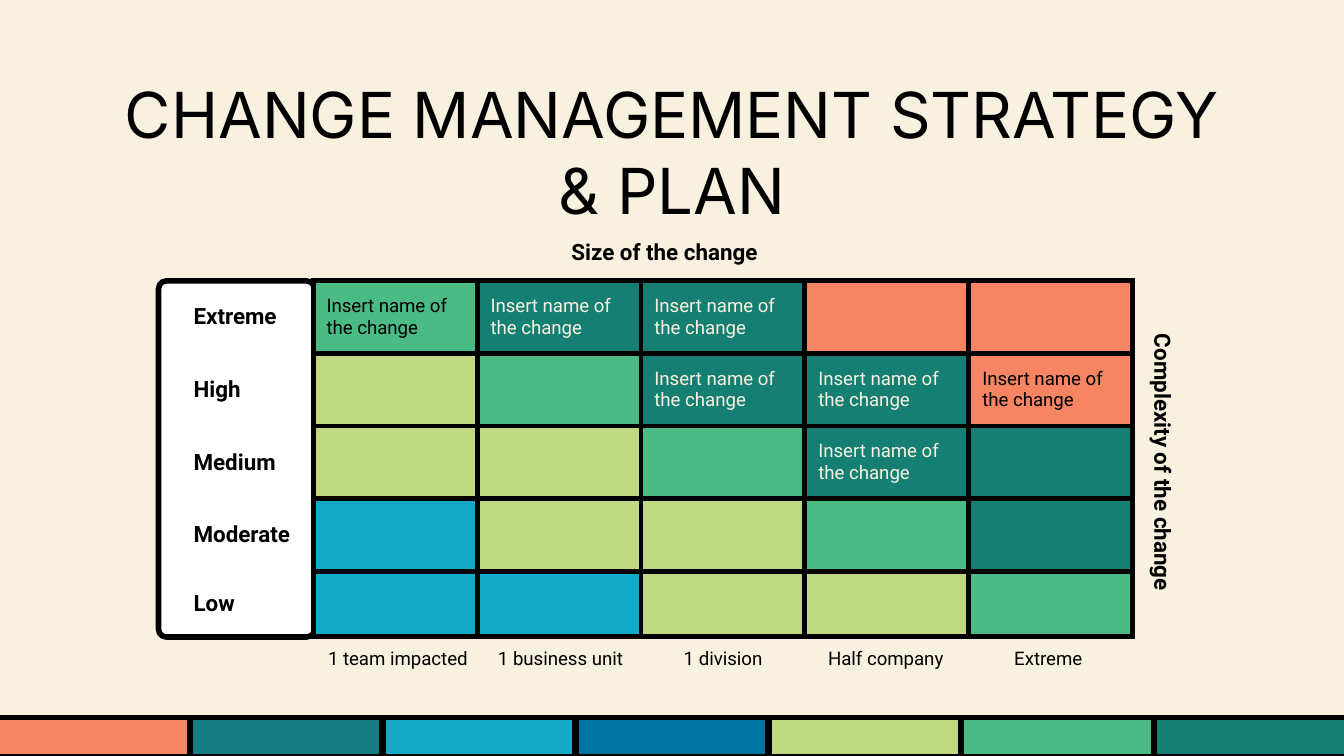
import pptx
import pptx.util
import pptx.dml.color
import pptx.enum.shapes
import pptx.enum.text
import pptx.oxml.ns
import lxml.etree

Inches = pptx.util.Inches
Pt = pptx.util.Pt
RGBColor = pptx.dml.color.RGBColor
SHAPE = pptx.enum.shapes.MSO_SHAPE
ALIGN = pptx.enum.text.PP_ALIGN
ANCHOR = pptx.enum.text.MSO_ANCHOR

BLACK = RGBColor(0x00, 0x00, 0x00)
WHITE = RGBColor(0xFF, 0xFF, 0xFF)
CREAM = RGBColor(0xF8, 0xF1, 0xDF)
CORAL = RGBColor(0xF7, 0x85, 0x63)
PINE = RGBColor(0x15, 0x7C, 0x85)
SKY = RGBColor(0x13, 0xAA, 0xC7)
NAVY = RGBColor(0x01, 0x73, 0x9F)
LIME = RGBColor(0xC0, 0xD8, 0x82)
GREEN = RGBColor(0x4A, 0xBB, 0x85)
TEAL = RGBColor(0x15, 0x7F, 0x73)

NOTE = "Insert name of the change"
STRIP = [CORAL, PINE, SKY, NAVY, LIME, GREEN, TEAL]
SIZES = ["1 team impacted", "1 business unit", "1 division", "Half company", "Extreme"]
LEVELS = {
    "Extreme": [GREEN, TEAL, TEAL, CORAL, CORAL],
    "High": [LIME, GREEN, TEAL, TEAL, CORAL],
    "Medium": [LIME, LIME, GREEN, TEAL, TEAL],
    "Moderate": [SKY, LIME, LIME, GREEN, TEAL],
    "Low": [SKY, SKY, LIME, LIME, GREEN],
}
NOTED = {(0, 1), (0, 2), (0, 3), (1, 3), (1, 4), (1, 5), (2, 4)}


class Deck:
    """Holds the style and the current slide, and draws each kind of element."""

    font = "Roboto"
    line = Pt(3)

    def __init__(self):
        self.file = pptx.Presentation()
        self.file.slide_width = Inches(10)
        self.file.slide_height = Inches(10 * 9 / 16)
        self.slide = self.file.slides.add_slide(self.file.slide_layouts[6])
        fill = self.slide.background.fill
        fill.solid()
        fill.fore_color.rgb = CREAM

    def style(self, para, size, bold=False, color=BLACK, font=None):
        para.font.name = font or self.font
        para.font.size = Pt(size)
        para.font.bold = bold
        para.font.color.rgb = color

    def box(self, kind, x, y, w, h, color):
        shape = self.slide.shapes.add_shape(kind, Inches(x), Inches(y), Inches(w), Inches(h))
        shape.shadow.inherit = False
        shape.fill.solid()
        shape.fill.fore_color.rgb = color
        shape.line.color.rgb = BLACK
        shape.line.width = self.line
        return shape

    def text(self, words, x, y, w, h, size, bold=False, font=None,
             anchor=ANCHOR.MIDDLE, inset=0, turn=0):
        shape = self.slide.shapes.add_textbox(Inches(x), Inches(y), Inches(w), Inches(h))
        shape.rotation = turn
        frame = shape.text_frame
        frame.word_wrap = True
        frame.vertical_anchor = anchor
        frame.margin_left = frame.margin_right = Inches(inset)
        frame.margin_top = frame.margin_bottom = Inches(inset)
        para = frame.paragraphs[0]
        para.text = words
        para.alignment = ALIGN.CENTER
        self.style(para, size, bold, font=font)

    def edge(self, cell, sides):
        props = cell._tc.get_or_add_tcPr()
        qn = pptx.oxml.ns.qn
        for spot, side in enumerate("LRTB"):
            line = lxml.etree.Element(qn("a:ln" + side), w=str(self.line))
            if side in sides:
                fill = lxml.etree.SubElement(line, qn("a:solidFill"))
                lxml.etree.SubElement(fill, qn("a:srgbClr"), val=str(BLACK))
            else:
                lxml.etree.SubElement(line, qn("a:noFill"))
            props.insert(spot, line)

    def cell(self, cell, words, size, bold, color, fill, sides):
        if fill is None:
            cell.fill.background()
        else:
            cell.fill.solid()
            cell.fill.fore_color.rgb = fill
        self.edge(cell, sides)
        para = cell.text_frame.paragraphs[0]
        if words:
            para.text = words
            cell.vertical_anchor = ANCHOR.MIDDLE
            cell.margin_left = cell.margin_right = Inches(0.1)
            cell.margin_top = cell.margin_bottom = Inches(0.1)
        self.style(para, size, bold, color)

    def grid(self, x, y, cols, rows):
        table = self.slide.shapes.add_table(
            len(rows), len(cols), Inches(x), Inches(y),
            Inches(sum(cols)), Inches(sum(rows))).table
        table.first_row = table.horz_banding = False
        for col, width in zip(table.columns, cols):
            col.width = Inches(width)
        for row, height in zip(table.rows, rows):
            row.height = Inches(height)
        for r, (level, fills) in enumerate(LEVELS.items()):
            self.cell(table.cell(r, 0), level, 12, True, BLACK, None, "R")
            for c, fill in enumerate(fills, 1):
                words = NOTE if (r, c) in NOTED else ""
                color = CREAM if fill == TEAL else BLACK
                self.cell(table.cell(r, c), words, 10, False, color, fill, "LRTB")


def main():
    deck = Deck()
    for i, color in enumerate(STRIP):
        deck.box(SHAPE.RECTANGLE, -0.02 + 1.435 * i, 5.34, 1.43, 0.29, color)
    panel = deck.box(SHAPE.ROUNDED_RECTANGLE, 1.18, 2.09, 1.16, 2.65, WHITE)
    panel.adjustments[0] = 0.05
    deck.grid(1.34, 2.09, [0.99] + [1.22] * 5, [0.54] * 4 + [0.49])
    deck.text("CHANGE MANAGEMENT STRATEGY & PLAN", 0.78, 0.46, 8.44, 1.25, 34,
              font="Inter", anchor=ANCHOR.TOP, inset=0.1)
    deck.text("Complexity of the change", 7.43, 3.28, 2.45, 0.32, 12, True, turn=90)
    deck.text("Size of the change", 3.72, 1.71, 2.45, 0.32, 12, True)
    for i, size in enumerate(SIZES):
        deck.text(size, 2.39 + 1.21 * i, 4.76, 1.14, 0.27, 10)
    deck.file.save("out.pptx")


if __name__ == "__main__":
    main()
